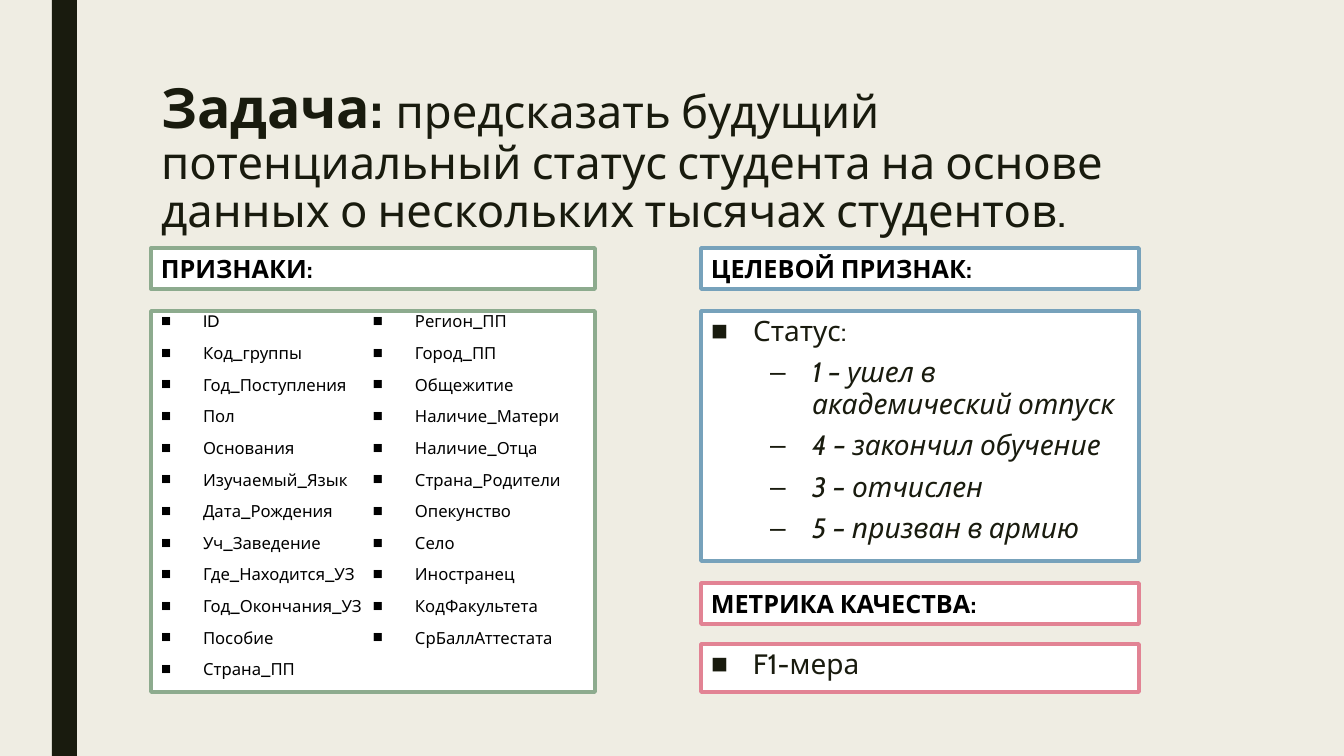
"""Build the slide that states the student status prediction task."""
from dataclasses import dataclass

import lxml.etree
import pptx
import pptx.dml.color
import pptx.enum.shapes
import pptx.enum.text
import pptx.oxml.ns
import pptx.util
from pptx.shapes.base import BaseShape
from pptx.slide import Slide
from pptx.text.text import TextFrame, _Paragraph

EMU_PER_PIXEL = 914400 / 100.8


@dataclass(frozen=True)
class Theme:
    """Colours, font and type sizes of the slide."""
    font: str = "Cabin"
    background: str = "EFEDE3"
    ink: str = "191B0E"
    black: str = "000000"
    white: str = "FFFFFF"
    green: str = "8DAB8E"
    blue: str = "77A2BB"
    pink: str = "E28394"
    border: float = 2.75
    title_lead: float = 39.6
    title: float = 32.4
    heading: float = 18
    body: float = 20
    small: float = 11.9


@dataclass(frozen=True)
class Area:
    """Rectangle in pixels."""
    left: int
    top: int
    width: int
    height: int


@dataclass(frozen=True)
class Item:
    """List entry with its level."""
    text: str
    level: int = 0


@dataclass(frozen=True)
class Section:
    """Framed heading above a framed list."""
    heading: str
    heading_area: Area
    list_area: Area
    placeholder: int
    color: str
    items: tuple[Item, ...]
    size: float
    ink: str
    line_spacing: float
    columns: int = 1


@dataclass(frozen=True)
class Level:
    """Bullet and indents of a list level."""
    bullet: str
    margin: int
    space_before: int
    italic: bool


THEME = Theme()
HANGING = 42
LEVELS = (Level("■", 42, 10, False), Level("–", 101, 5, True))
TITLE_AREA = Area(151, 76, 1058, 163)
BAR_AREA = Area(52, 0, 25, 756)
FEATURES = (
    "ID", "Код_группы", "Год_Поступления", "Пол", "Основания", "Изучаемый_Язык",
    "Дата_Рождения", "Уч_Заведение", "Где_Находится_УЗ", "Год_Окончания_УЗ",
    "Пособие", "Страна_ПП", "Регион_ПП", "Город_ПП", "Общежитие",
    "Наличие_Матери", "Наличие_Отца", "Страна_Родители", "Опекунство", "Село",
    "Иностранец", "КодФакультета", "СрБаллАттестата",
)
STATUSES = (
    "1 – ушел в академический отпуск", "4 – закончил обучение",
    "3 – отчислен", "5 – призван в армию",
)
SECTIONS = (
    Section("ПРИЗНАКИ:", Area(151, 248, 444, 41), Area(151, 311, 444, 381), 2,
            THEME.green, tuple(Item(name) for name in FEATURES),
            THEME.small, THEME.black, 0.74, 2),
    Section("ЦЕЛЕВОЙ ПРИЗНАК:", Area(701, 248, 438, 41), Area(701, 311, 438, 250), 4,
            THEME.blue, (Item("Статус:"), *(Item(status, 1) for status in STATUSES)),
            THEME.body, THEME.ink, 0.94),
    Section("МЕТРИКА КАЧЕСТВА:", Area(701, 583, 438, 41), Area(701, 644, 438, 48), 1,
            THEME.pink, (Item("F1-мера"),), THEME.body, THEME.ink, 0.94),
)


def emu(pixels: float) -> int:
    """Convert pixels to EMU."""
    return round(pixels * EMU_PER_PIXEL)


def rgb(color: str) -> pptx.dml.color.RGBColor:
    """Convert a hex string to a colour."""
    return pptx.dml.color.RGBColor.from_string(color)


def place(shape: BaseShape, area: Area) -> None:
    """Move and size a shape."""
    shape.left, shape.top = emu(area.left), emu(area.top)
    shape.width, shape.height = emu(area.width), emu(area.height)


def add_box(page: Slide, area: Area) -> BaseShape:
    """Add a rectangle without shadow."""
    kind = pptx.enum.shapes.MSO_SHAPE.RECTANGLE
    box = page.shapes.add_shape(kind, 0, 0, 0, 0)
    place(box, area)
    box.shadow.inherit = False
    return box


def paint(shape: BaseShape, fill: str, border: str | None = None) -> None:
    """Fill a shape and draw its border, if any."""
    shape.fill.solid()
    shape.fill.fore_color.rgb = rgb(fill)
    if border is None:
        shape.line.fill.background()
    else:
        shape.line.color.rgb = rgb(border)
        shape.line.width = pptx.util.Pt(THEME.border)


def prepare(shape: BaseShape) -> TextFrame:
    """Set wrapping, anchor and fixed size of the text."""
    frame = shape.text_frame
    frame.word_wrap = True
    frame.auto_size = pptx.enum.text.MSO_AUTO_SIZE.NONE
    frame.vertical_anchor = pptx.enum.text.MSO_ANCHOR.TOP
    frame.paragraphs[0].alignment = pptx.enum.text.PP_ALIGN.LEFT
    return frame


def add_span(para: _Paragraph, text: str, size: float, color: str,
             bold: bool = False, italic: bool = False) -> None:
    """Add a formatted run."""
    span = para.add_run()
    span.text = text
    span.font.name = THEME.font
    span.font.size = pptx.util.Pt(size)
    span.font.color.rgb = rgb(color)
    span.font.bold = bold
    span.font.italic = italic


def add_bullet(para: _Paragraph, level: Level) -> None:
    """Give a paragraph its bullet and hanging indent."""
    properties = para._p.get_or_add_pPr()
    properties.set("marL", str(emu(level.margin)))
    properties.set("indent", str(-emu(HANGING)))
    bullet = lxml.etree.SubElement(properties, pptx.oxml.ns.qn("a:buChar"))
    bullet.set("char", level.bullet)


def add_title(page: Slide) -> None:
    """Write the task statement."""
    title = page.shapes.title
    place(title, TITLE_AREA)
    para = prepare(title).paragraphs[0]
    para.line_spacing = 0.89
    add_span(para, "Задача: ", THEME.title_lead, THEME.ink, bold=True)
    add_span(para, "предсказать будущий потенциальный статус студента на основе "
             "данных о нескольких тысячах студентов.", THEME.title, THEME.ink)


def add_section(page: Slide, section: Section) -> None:
    """Draw a section heading and fill its list placeholder."""
    heading = add_box(page, section.heading_area)
    paint(heading, THEME.white, section.color)
    add_span(prepare(heading).paragraphs[0], section.heading,
             THEME.heading, THEME.black, bold=True)
    body = next(holder for holder in page.placeholders
                if holder.placeholder_format.idx == section.placeholder)
    place(body, section.list_area)
    paint(body, THEME.white, section.color)
    frame = prepare(body)
    if section.columns > 1:
        frame._txBody.bodyPr.set("numCol", str(section.columns))
    for index, item in enumerate(section.items):
        para = frame.add_paragraph() if index else frame.paragraphs[0]
        level = LEVELS[item.level]
        para.level = item.level
        para.line_spacing = section.line_spacing
        para.space_before = pptx.util.Pt(level.space_before)
        para.space_after = pptx.util.Pt(2)
        add_bullet(para, level)
        add_span(para, item.text, section.size, section.ink, italic=level.italic)


def main() -> None:
    """Build and save the deck."""
    deck = pptx.Presentation()
    deck.slide_width, deck.slide_height = emu(1344), emu(756)
    page = deck.slides.add_slide(deck.slide_layouts.get_by_name("Comparison"))
    page.background.fill.solid()
    page.background.fill.fore_color.rgb = rgb(THEME.background)
    paint(add_box(page, BAR_AREA), THEME.ink)
    add_title(page)
    for section in SECTIONS:
        add_section(page, section)
    for holder in list(page.placeholders):
        if not holder.text_frame.text:
            holder._element.getparent().remove(holder._element)
    deck.save("out.pptx")


main()
